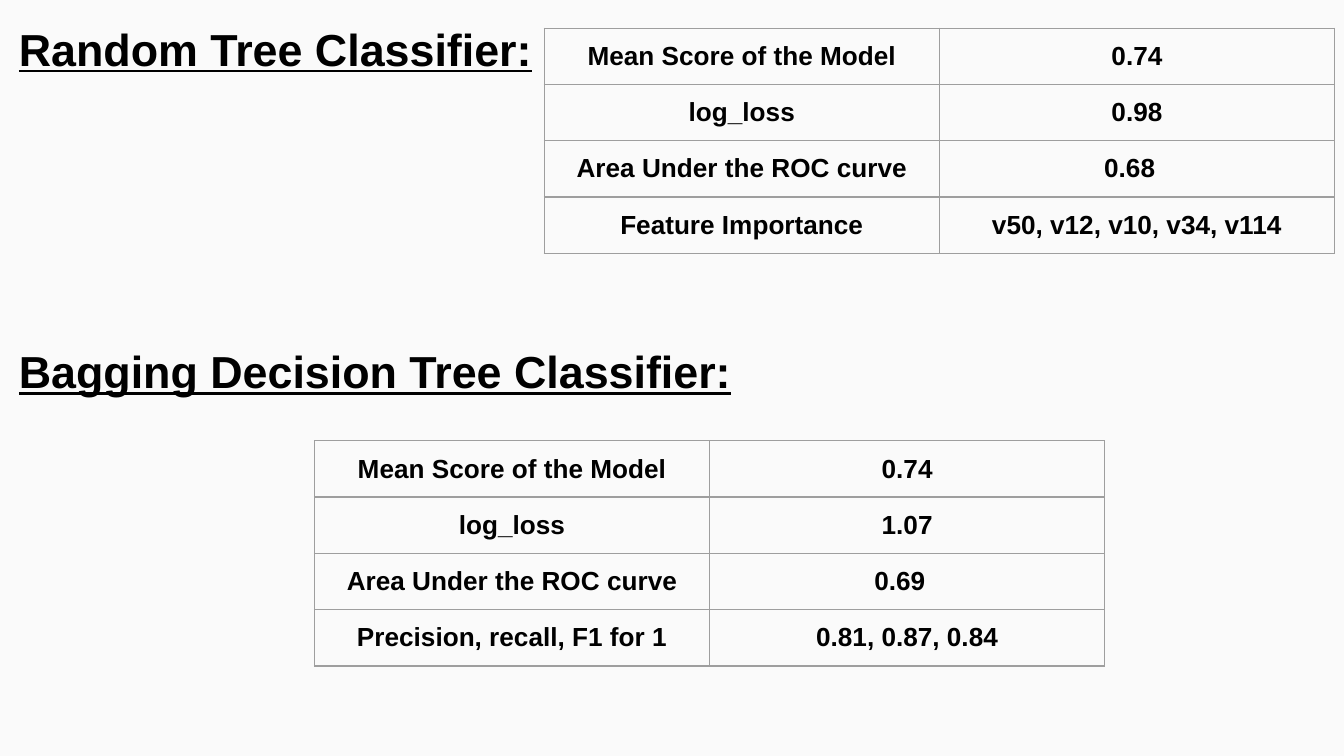
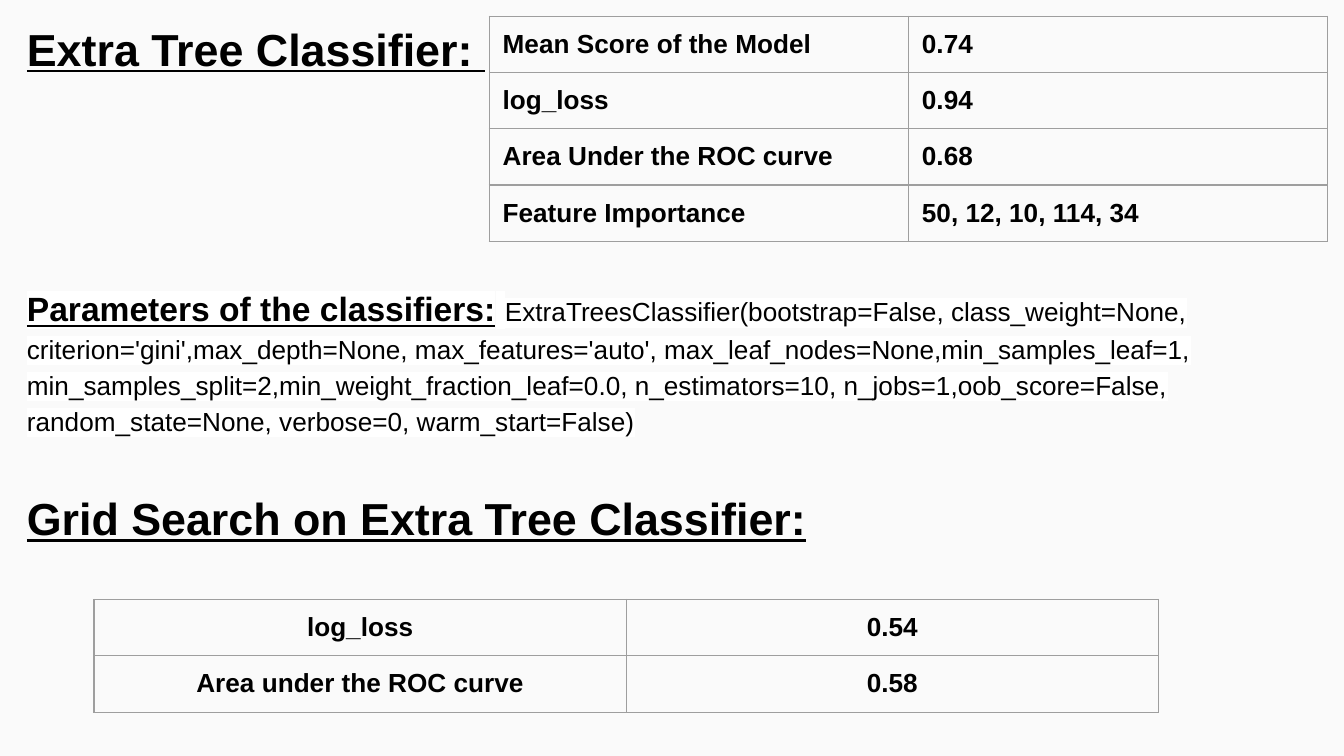
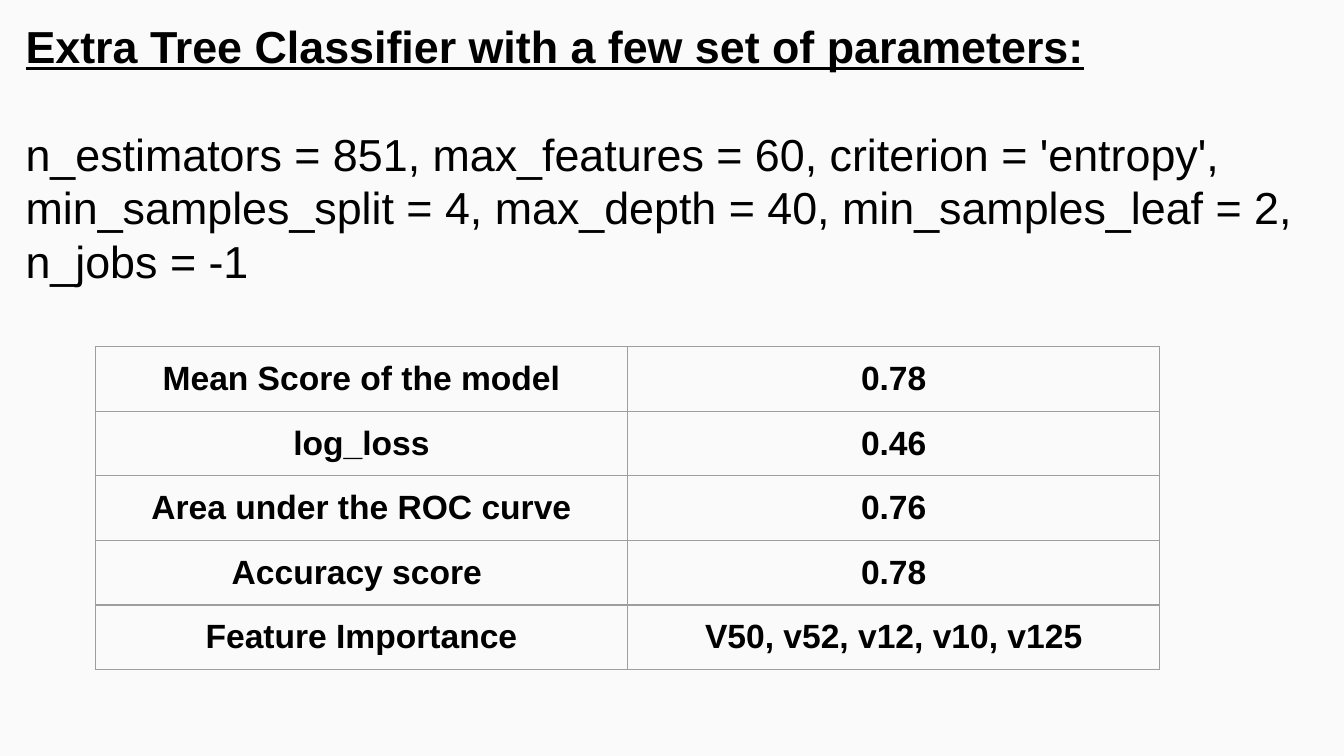
"""Build three slides that report the scores of tree classifiers."""
from dataclasses import dataclass

from lxml import etree
from pptx import Presentation
from pptx.dml.color import RGBColor
from pptx.enum.text import MSO_ANCHOR, MSO_AUTO_SIZE, PP_ALIGN
from pptx.oxml.ns import qn
from pptx.util import Inches, Pt

LEFT, CENTER = PP_ALIGN.LEFT, PP_ALIGN.CENTER
TOP, NO_FIT = MSO_ANCHOR.TOP, MSO_AUTO_SIZE.NONE
TITLE_AND_CONTENT = 1


@dataclass(frozen=True)
class Theme:
    """Colours, type and spacing shared by the slides."""

    font: str = "Arial"
    background: str = "FAFAFA"
    ink: str = "000000"
    border: str = "9E9E9E"
    highlight: str = "FFFFFF"
    heading: int = 24
    label: int = 18
    detail: int = 14
    inset: float = 0.1
    border_width: float = 0.75
    line_spacing: float = 1.0
    loose_spacing: float = 1.15


THEME = Theme()
RUN_STYLES = {
    "heading": dict(size=THEME.heading, bold=True, underline=True),
    "plain": dict(size=THEME.heading, bold=False, underline=False),
    "label": dict(size=THEME.label, bold=True, underline=True, highlight=True),
    "gap": dict(size=THEME.label, bold=False, underline=False, highlight=True),
    "detail": dict(size=THEME.detail, bold=False, underline=False, highlight=True),
}

EXTRA_TREES_PARAMETERS = (
    "ExtraTreesClassifier(bootstrap=False, class_weight=None, "
    "criterion='gini',max_depth=None, max_features='auto', "
    "max_leaf_nodes=None,min_samples_leaf=1, "
    "min_samples_split=2,min_weight_fraction_leaf=0.0, n_estimators=10, "
    "n_jobs=1,oob_score=False, random_state=None, verbose=0, warm_start=False)"
)
CHOSEN_PARAMETERS = (
    "n_estimators = 851, max_features = 60, criterion = 'entropy', "
    "min_samples_split = 4, max_depth = 40, min_samples_leaf = 2, n_jobs = -1"
)

SLIDES = [
    dict(
        title="Random Tree Classifier:",
        title_box=(0.04, 0.06, 4, 0.6),
        body_box=(0.04, 2.46, 9.79, 0.6),
        body=[dict(runs=[("Bagging Decision Tree Classifier:", "heading")])],
        tables=[
            dict(at=(4.05, 0.21), cell_size=(2.94, 0.37), size=THEME.detail, align=CENTER, rows=[
                ("Mean Score of the Model", "0.74"),
                ("log_loss", "0.98"),
                ("Area Under the ROC curve", "0.68  "),
                ("Feature Importance", "v50, v12, v10, v34, v114"),
            ]),
            dict(at=(2.34, 3.28), cell_size=(2.94, 0.37), size=THEME.detail, align=CENTER, rows=[
                ("Mean Score of the Model", "0.74"),
                ("log_loss", "1.07"),
                ("Area Under the ROC curve", "0.69  "),
                ("Precision, recall, F1 for 1", "0.81, 0.87, 0.84"),
            ]),
        ],
    ),
    dict(
        title="Extra Tree Classifier: ",
        title_box=(0.1, 0.06, 3.54, 0.6),
        body_box=(0.1, 2, 9.69, 2.3),
        body=[
            dict(spacing=THEME.loose_spacing, runs=[
                ("Parameters of the classifiers:", "label"),
                (" ", "gap"),
                (EXTRA_TREES_PARAMETERS, "detail"),
            ]),
            dict(before=29, runs=[("Grid Search on Extra Tree Classifier:", "heading")]),
        ],
        tables=[
            dict(at=(3.64, 0.12), cell_size=(3.12, 0.4), size=THEME.detail, align=LEFT, rows=[
                ("Mean Score of the Model", "0.74"),
                ("log_loss", "0.94"),
                ("Area Under the ROC curve", "0.68"),
                ("Feature Importance", "50, 12, 10, 114, 34"),
            ]),
            dict(at=(0.7, 4.46), cell_size=(3.96, 0.42), size=THEME.detail, align=CENTER, rows=[
                ("log_loss", "0.54"),
                ("Area under the ROC curve", "0.58"),
            ]),
        ],
    ),
    dict(
        title="Extra Tree Classifier with a few set of parameters:",
        title_box=(0.09, 0.04, 9.74, 0.6),
        body_box=(0.09, 0.84, 9.74, 1.5),
        body=[dict(runs=[(CHOSEN_PARAMETERS, "plain")])],
        tables=[
            dict(at=(0.71, 2.58), cell_size=(3.96, 0.42), size=THEME.label, align=CENTER, rows=[
                ("Mean Score of the model", "0.78"),
                ("log_loss", "0.46"),
                ("Area under the ROC curve", "0.76"),
                ("Accuracy score ", "0.78"),
                ("Feature Importance", "V50, v52, v12, v10, v125"),
            ]),
        ],
    ),
]


def set_all(target, values):
    """Set each named attribute on the target."""
    for name, value in values.items():
        setattr(target, name, value)


def add_color(parent, tag, color):
    """Append an element of the given tag that holds one colour."""
    element = etree.SubElement(parent, qn(tag))
    etree.SubElement(element, qn("a:srgbClr"), val=color)
    return element


def add_run(paragraph, text, size, bold=True, underline=False, highlight=False):
    """Add one formatted run to a paragraph."""
    run = paragraph.add_run()
    run.text = text
    set_all(run.font, dict(name=THEME.font, size=Pt(size), bold=bold, underline=underline))
    run.font.color.rgb = RGBColor.from_string(THEME.ink)
    if highlight:
        properties = run.font._element
        mark = add_color(properties, "a:highlight", THEME.highlight)
        properties.find(qn("a:latin")).addprevious(mark)


def fill_placeholder(shape, box, paragraphs):
    """Move a placeholder and fill it with unbulleted paragraphs."""
    set_all(shape, dict(zip(("left", "top", "width", "height"), map(Inches, box))))
    frame = shape.text_frame
    inset = Inches(THEME.inset)
    set_all(frame, dict(word_wrap=True, auto_size=NO_FIT, vertical_anchor=TOP,
                        margin_left=inset, margin_top=inset,
                        margin_right=0, margin_bottom=inset))
    for index, content in enumerate(paragraphs):
        paragraph = frame.add_paragraph() if index else frame.paragraphs[0]
        set_all(paragraph, dict(alignment=LEFT, space_after=Pt(0),
                                space_before=Pt(content.get("before", 0)),
                                line_spacing=content.get("spacing", THEME.line_spacing)))
        properties = paragraph._p.get_or_add_pPr()
        properties.set("marL", "0")
        properties.set("indent", "0")
        etree.SubElement(properties, qn("a:buNone"))
        for text, style in content["runs"]:
            add_run(paragraph, text, **RUN_STYLES[style])


def format_cell(cell, text, size, align):
    """Write a bordered, unfilled table cell."""
    inset = Inches(THEME.inset)
    set_all(cell, dict(margin_left=inset, margin_right=inset,
                       margin_top=inset, margin_bottom=inset))
    paragraph = cell.text_frame.paragraphs[0]
    paragraph.alignment = align
    add_run(paragraph, text, size)
    properties = cell._tc.get_or_add_tcPr()
    for side in ("a:lnL", "a:lnR", "a:lnT", "a:lnB"):
        line = etree.SubElement(properties, qn(side), w=str(Pt(THEME.border_width)))
        add_color(line, "a:solidFill", THEME.border)
    cell.fill.background()


def add_score_table(slide, at, cell_size, size, align, rows):
    """Add a table of measures and their values."""
    columns = len(rows[0])
    cell_width, cell_height = cell_size
    box = (*at, cell_width * columns, cell_height * len(rows))
    table = slide.shapes.add_table(len(rows), columns, *map(Inches, box)).table
    set_all(table, dict(first_row=False, horz_banding=False))
    for row, texts in zip(table.rows, rows):
        for cell, text in zip(row.cells, texts):
            format_cell(cell, text, size, align)


def main():
    """Build and save the presentation."""
    presentation = Presentation()
    width = Inches(10)
    set_all(presentation, dict(slide_width=width, slide_height=width * 9 // 16))
    background = presentation.slide_master.background.fill
    background.solid()
    background.fore_color.rgb = RGBColor.from_string(THEME.background)
    layout = presentation.slide_layouts[TITLE_AND_CONTENT]
    for content in SLIDES:
        slide = presentation.slides.add_slide(layout)
        title = [dict(runs=[(content["title"], "heading")])]
        fill_placeholder(slide.shapes.title, content["title_box"], title)
        fill_placeholder(slide.placeholders[1], content["body_box"], content["body"])
        for table in content["tables"]:
            add_score_table(slide, **table)
    presentation.save("out.pptx")


if __name__ == "__main__":
    main()
